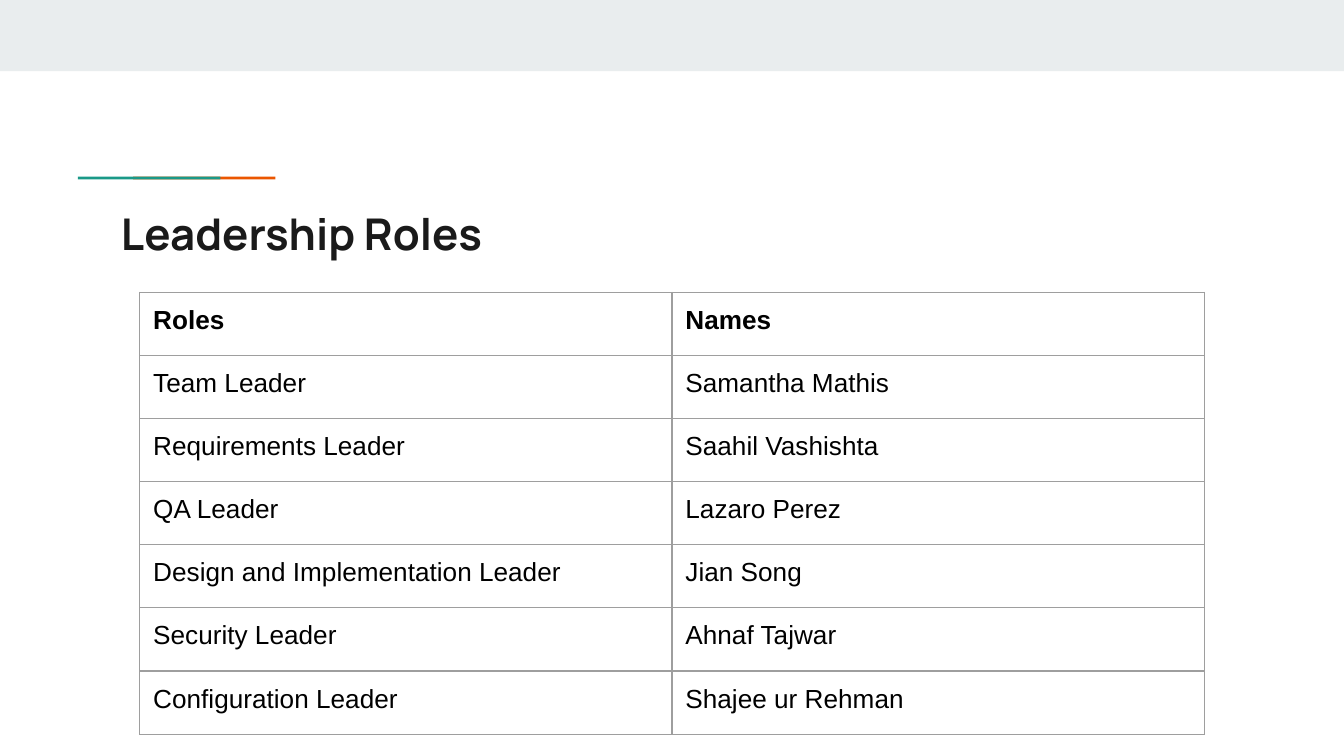
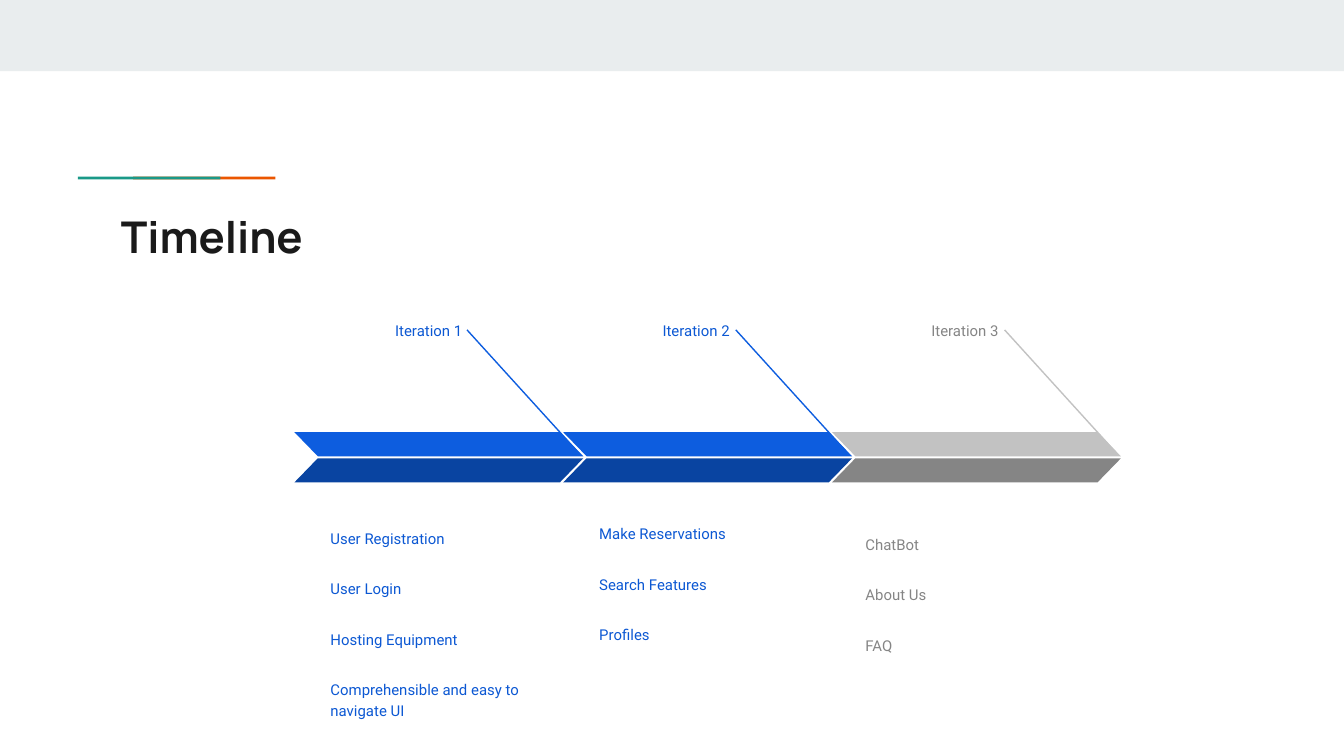
from collections import namedtuple
from dataclasses import dataclass

from lxml import etree
from pptx import Presentation
from pptx import util as u
from pptx.dml import color
from pptx.enum import shapes, text
from pptx.oxml import ns

PX = u.Inches(1) // 200

Box = namedtuple("Box", "left top width height")
Stage = namedtuple("Stage", "label label_box items items_box tones")
Tones = namedtuple("Tones", "text upper lower")


@dataclass(frozen=True)
class Theme:
    band: str = "E9EDEE"
    teal: str = "1A9988"
    orange: str = "EB5600"
    title: str = "1A1A1A"
    table_text: str = "000000"
    table_border: str = "9E9E9E"
    active: Tones = Tones("0C58D3", "0D5DDF", "0944A1")
    pending: Tones = Tones("858585", "C2C2C2", "858585")
    title_font: str = "Manrope"
    table_font: str = "Arial"
    stage_font: str = "Roboto"
    title_size: float = 23.4
    table_size: int = 14
    stage_size: int = 8
    item_gap: int = 16
    line_spacing: float = 1.15
    line_width: float = 0.75


THEME = Theme()
SLIDE = Box(0, 0, 2000, 1125)
INSET = 20
MARGINS = {f"margin_{side}": INSET * PX for side in ("left", "top", "right", "bottom")}

ROLES = [
    ("Roles", "Names"),
    ("Team Leader", "Samantha Mathis"),
    ("Requirements Leader", "Saahil Vashishta"),
    ("QA Leader", "Lazaro Perez"),
    ("Design and Implementation Leader", "Jian Song"),
    ("Security Leader", "Ahnaf Tajwar"),
]
EXTRA_ROLES = [("Configuration Leader", "Shajee ur Rehman")]

# Label and item boxes are relative to the box of their stage.
STAGES = [
    Stage("Iteration 1", Box(76, 0, 194, 60),
          ["User Registration", "User Login", "Hosting Equipment",
           "Comprehensible and easy to navigate UI"],
          Box(34, 304, 362, 184), THEME.active),
    Stage("Iteration 2", Box(42, 0, 226, 60),
          ["Make Reservations", "Search Features", "Profiles"],
          Box(34, 297, 362, 184), THEME.active),
    Stage("Iteration 3", Box(54, 0, 214, 60),
          ["ChatBot", "About Us", "FAQ"],
          Box(30, 313, 362, 184), THEME.pending),
]


def emu(values):
    return [value * PX for value in values]


def inside(outer, inner):
    """Shift a relative box into the box that holds it."""
    return inner._replace(left=outer.left + inner.left, top=outer.top + inner.top)


def apply(target, values):
    for name, value in values.items():
        setattr(target, name, value)


def format_font(font, name, size, tone, bold=False):
    apply(font, {"name": name, "size": u.Pt(size), "bold": bold})
    font.color.rgb = color.RGBColor.from_string(tone)


def add_block(parent, kind, box, tone):
    shape = parent.shapes.add_shape(kind, *emu(box))
    shape.shadow.inherit = False
    shape.fill.solid()
    shape.fill.fore_color.rgb = color.RGBColor.from_string(tone)
    shape.line.fill.background()
    return shape


def add_frame(slide, title, box):
    """Draw the top band, the accent rule and the title of a slide."""
    rectangle = shapes.MSO_SHAPE.RECTANGLE
    add_block(slide, rectangle, Box(0, 0, SLIDE.width, 106), THEME.band)
    for left, tone in ((198, THEME.orange), (116, THEME.teal)):
        add_block(slide, rectangle, Box(left, 263, 212, 4), tone)

    shape = slide.shapes.title
    apply(shape, dict(zip(Box._fields, emu(box))))
    frame = shape.text_frame
    frame.text = title
    apply(frame, MARGINS | {
        "word_wrap": True,
        "auto_size": text.MSO_AUTO_SIZE.NONE,
        "vertical_anchor": text.MSO_ANCHOR.TOP,
    })
    paragraph = frame.paragraphs[0]
    paragraph.alignment = text.PP_ALIGN.LEFT
    format_font(paragraph.runs[0].font, THEME.title_font, THEME.title_size,
                THEME.title, bold=True)


def add_borders(cell):
    properties = cell._tc.get_or_add_tcPr()
    for side in ("a:lnL", "a:lnR", "a:lnT", "a:lnB"):
        line = etree.SubElement(properties, ns.qn(side), w=str(u.Pt(THEME.line_width)))
        fill = etree.SubElement(line, ns.qn("a:solidFill"))
        etree.SubElement(fill, ns.qn("a:srgbClr"), val=THEME.table_border)


def add_roles_table(slide, box, rows, header):
    table = slide.shapes.add_table(len(rows), len(rows[0]), *emu(box)).table
    apply(table, {"first_row": False, "horz_banding": False})
    for row_index, row in enumerate(rows):
        for column_index, value in enumerate(row):
            cell = table.cell(row_index, column_index)
            cell.text = value
            apply(cell, MARGINS)
            add_borders(cell)
            cell.fill.background()
            format_font(cell.text_frame.paragraphs[0].runs[0].font, THEME.table_font,
                        THEME.table_size, THEME.table_text,
                        bold=header and row_index == 0)


def add_stage_text(group, box, lines, tone, alignment):
    frame = group.shapes.add_textbox(*emu(box)).text_frame
    apply(frame, MARGINS | {"word_wrap": True, "vertical_anchor": text.MSO_ANCHOR.TOP})
    frame.text = "\n".join(lines)
    for index, paragraph in enumerate(frame.paragraphs):
        apply(paragraph, {
            "alignment": alignment,
            "line_spacing": THEME.line_spacing,
            "space_before": u.Pt(THEME.item_gap if index else 0),
            "space_after": u.Pt(THEME.item_gap if index == len(lines) - 1 else 0),
        })
        format_font(paragraph.runs[0].font, THEME.stage_font, THEME.stage_size, tone)


def add_stage(slide, box, stage):
    """Draw one iteration: label, items, pointer line and two-part arrow band."""
    group = slide.shapes.add_group_shape()
    tones = stage.tones
    add_stage_text(group, inside(box, stage.label_box), [stage.label],
                   tones.text, text.PP_ALIGN.RIGHT)
    add_stage_text(group, inside(box, stage.items_box), stage.items,
                   tones.text, text.PP_ALIGN.LEFT)

    pointer = group.shapes.add_connector(
        shapes.MSO_CONNECTOR.STRAIGHT,
        *emu((box.left + 257, box.top + 31, box.left + 425, box.top + 216)))
    pointer.line.width = u.Pt(THEME.line_width)
    pointer.line.color.rgb = color.RGBColor.from_string(tones.upper)
    etree.SubElement(pointer._element.spPr, ns.qn("a:effectLst"))

    for top, tone, flipped in ((183, tones.upper, True), (222, tones.lower, False)):
        half = add_block(group, shapes.MSO_SHAPE.PARALLELOGRAM,
                         inside(box, Box(0, top, box.width, 36)), tone)
        half.adjustments[0] = 0.97
        if flipped:
            half._element.spPr.xfrm.set("flipH", "1")


def build_roles_slide(slide):
    add_frame(slide, "Leadership Roles", Box(160, 288, 1682, 118))
    add_roles_table(slide, Box(208, 435, 1584, 563), ROLES, header=True)
    add_roles_table(slide, Box(208, 999, 1584, 94), EXTRA_ROLES, header=False)


def build_timeline_slide(slide):
    add_frame(slide, "Timeline", Box(160, 292, 1682, 118))
    for index, stage in enumerate(STAGES):
        add_stage(slide, Box(438 + 400 * index, 460, 430, 488), stage)


def main():
    presentation = Presentation()
    apply(presentation, {"slide_width": SLIDE.width * PX,
                         "slide_height": SLIDE.height * PX})
    title_only = presentation.slide_layouts[5]
    for build in (build_roles_slide, build_timeline_slide):
        build(presentation.slides.add_slide(title_only))
    presentation.save("out.pptx")


if __name__ == "__main__":
    main()
